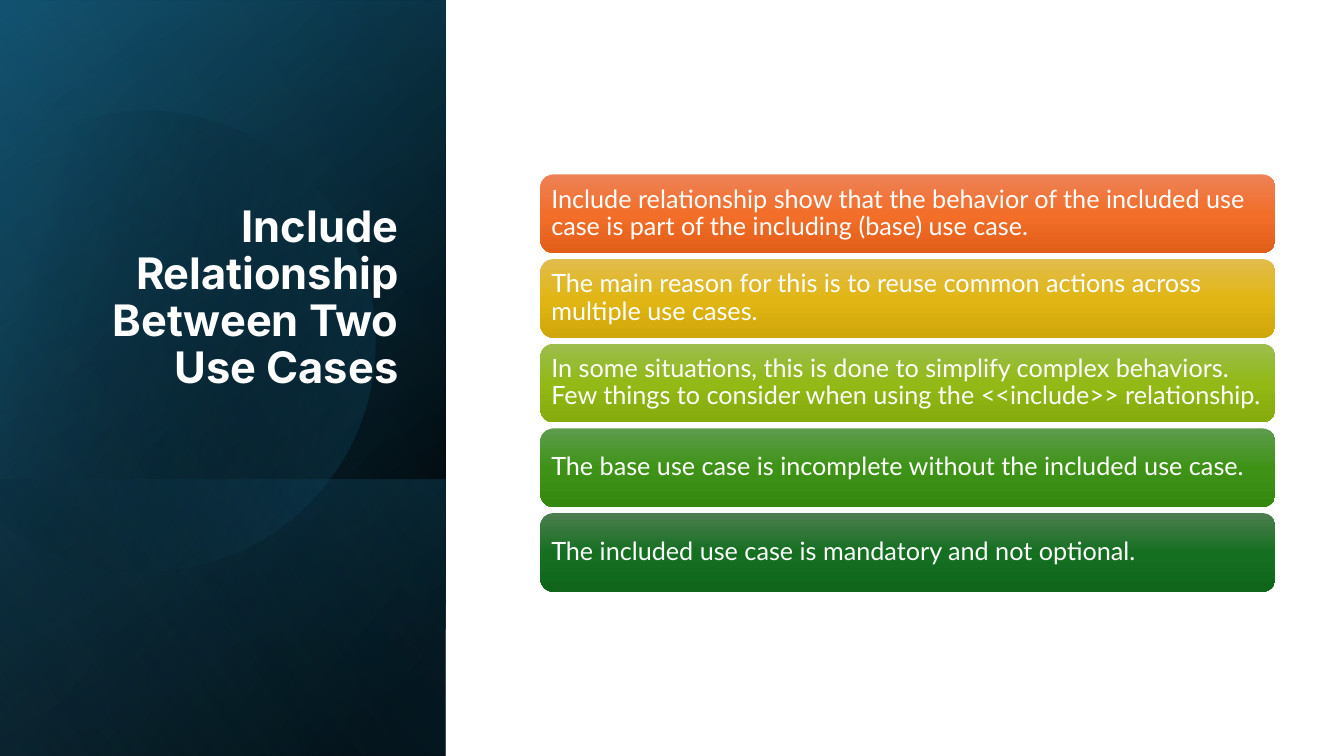
import math

from pptx import Presentation
from pptx.dml.color import RGBColor
from pptx.enum.shapes import MSO_SHAPE
from pptx.enum.text import MSO_ANCHOR, MSO_AUTO_SIZE, PP_ALIGN
from pptx.oxml import parse_xml
from pptx.oxml.ns import nsdecls
from pptx.util import Inches, Pt

RECT, ROUND_RECT = MSO_SHAPE.RECTANGLE, MSO_SHAPE.ROUNDED_RECTANGLE
MIDDLE, BOTTOM = MSO_ANCHOR.MIDDLE, MSO_ANCHOR.BOTTOM
LEFT, RIGHT = PP_ALIGN.LEFT, PP_ALIGN.RIGHT
NO_AUTOFIT = MSO_AUTO_SIZE.NONE

COLORS = {"white": "FFFFFF", "black": "000000", "navy": "104862",
          "teal": "156082", "sky": "46B1E1"}

CARDS = [
    ("Include relationship show that the behavior of the included use case is part of the including (base) use case.",
     ("ED8257", "F26E29", "E25F1A")),
    ("The main reason for this is to reuse common actions across multiple use cases.",
     ("E1BC4E", "E1B614", "D0A70A")),
    ("In some situations, this is done to simplify complex behaviors. "
     "Few things to consider when using the <<include>> relationship.",
     ("9CBD4E", "92B916", "85AB0D")),
    ("The base use case is incomplete without the included use case.",
     ("5E9C4E", "3E9317", "35880F")),
    ("The included use case is mandatory and not optional.",
     ("4D7E50", "156F21", "0F661B")),
]

DISC_OUTLINE = [
    ("moveTo", [(1.49, 1.1)]),
    ("cubicBezTo", [(2.46, 1.12), (3.35, 1.77), (3.63, 2.75)]),
    ("cubicBezTo", [(3.98, 3.97), (3.28, 5.23), (2.07, 5.58)]),
    ("cubicBezTo", [(1.31, 5.8), (0.53, 5.61), (-0.03, 5.14)]),
    ("lnTo", [(-0.15, 5.03)]),
    ("lnTo", [(-0.15, 1.75)]),
    ("lnTo", [(0, 1.61)]),
    ("cubicBezTo", [(0.23, 1.42), (0.5, 1.28), (0.8, 1.19)]),
    ("cubicBezTo", [(1.03, 1.13), (1.26, 1.1), (1.49, 1.1)]),
]


def paint_gradient(sp, stops, angle):
    sp.shadow.inherit = False
    sp.line.fill.background()
    gs = "".join(
        f'<a:gs pos="{pos * 1000}"><a:srgbClr val="{color}">'
        f'<a:alpha val="{alpha * 1000}"/></a:srgbClr></a:gs>'
        for pos, color, alpha in stops)
    sp._element.spPr.insert(2, parse_xml(
        f'<a:gradFill {nsdecls("a")}><a:gsLst>{gs}</a:gsLst>'
        f'<a:lin ang="{angle * 60000}" scaled="0"/></a:gradFill>'))


def format_text(tf, size, align, bold=False):
    for p in tf.paragraphs:
        p.alignment = align
        p.line_spacing = 0.9
        for r in p.runs:
            r.font.size = Pt(size)
            r.font.bold = bold
            r.font.name = "Inter" if bold else "Lato"
            r.font.color.rgb = RGBColor.from_string(COLORS["white"])


def add_turned_rect(slide, x, y, w, h, stops, angle):
    sp = slide.shapes.add_shape(RECT, Inches(x + (w - h) / 2), Inches(y + (h - w) / 2),
                                Inches(h), Inches(w))
    sp.rotation = 90
    sp._element.spPr.xfrm.set("flipH", "1")
    paint_gradient(sp, stops, angle)


def add_disc(slide, x, y):
    left, top, w, h = -0.55, 1.06, 4.27, 4.57
    tilt = 16.1
    cos, sin = math.cos(math.radians(tilt)), math.sin(math.radians(tilt))
    builder = slide.shapes.build_freeform(Inches(x + left), Inches(y + top))
    builder.add_line_segments([(Inches(x + left + dx), Inches(y + top + dy))
                               for dx, dy in ((w, 0), (w, h), (0, h))])
    sp = builder.convert_to_shape()
    outline = sp._element.xpath(".//a:path")[0]
    for step in list(outline):
        outline.remove(step)
    for tag, points in DISC_OUTLINE:
        pts = ""
        for px, py in points:
            dx, dy = px - left - w / 2, py - top - h / 2
            pts += (f'<a:pt x="{Inches(w / 2 + dx * cos - dy * sin)}" '
                    f'y="{Inches(h / 2 + dx * sin + dy * cos)}"/>')
        outline.append(parse_xml(f'<a:{tag} {nsdecls("a")}>{pts}</a:{tag}>'))
    outline.append(parse_xml(f'<a:close {nsdecls("a")}/>'))
    sp.rotation = 360 - tilt
    paint_gradient(sp, [(29, COLORS["black"], 0), (100, COLORS["teal"], 43)], 30)


def add_panel(slide, x, y, w, h):
    black, teal = COLORS["black"], COLORS["teal"]
    band_h = 2.74
    add_turned_rect(slide, x, y, w, h, [(8, black, 100), (100, COLORS["navy"], 100)], 50)
    add_turned_rect(slide, x, y + 0.01, w, h, [(0, black, 0), (99, teal, 46)], 30)
    add_turned_rect(slide, x, y + h - band_h, w, band_h,
                    [(2, teal, 29), (100, black, 30)], 130)
    add_disc(slide, x, y)
    add_turned_rect(slide, x, y, w, h, [(0, black, 0), (99, COLORS["sky"], 11)], 120)


def add_title(slide, x, y, w, h):
    title = slide.shapes.title
    title.left, title.top, title.width, title.height = map(Inches, (x, y, w, h))
    tf = title.text_frame
    tf.text = "Include Relationship Between Two Use Cases"
    tf.word_wrap = True
    tf.auto_size = NO_AUTOFIT
    tf.vertical_anchor = BOTTOM
    tf.margin_bottom = Inches(0.56)
    format_text(tf, 31, RIGHT, bold=True)
    slide.shapes._spTree.append(title._element)


def add_cards(slide, x, y, w, h):
    gap = 0.06
    card_h = (h - gap * (len(CARDS) - 1)) / len(CARDS)
    for i, (text, shades) in enumerate(CARDS):
        sp = slide.shapes.add_shape(ROUND_RECT, Inches(x), Inches(y + i * (card_h + gap)),
                                    Inches(w), Inches(card_h))
        paint_gradient(sp, [(pos, c, 100) for pos, c in zip((0, 50, 100), shades)], 90)
        tf = sp.text_frame
        tf.text = text
        tf.word_wrap = True
        tf.vertical_anchor = MIDDLE
        tf.margin_left = tf.margin_right = Inches(0.07)
        tf.margin_top = tf.margin_bottom = Inches(0.07)
        format_text(tf, 18, LEFT)


def main():
    prs = Presentation()
    prs.slide_width, prs.slide_height = Inches(13.33), Inches(7.5)
    slide = prs.slides.add_slide(prs.slide_layouts[5])
    add_panel(slide, 0, 0, 4.42, 7.5)
    add_title(slide, 0.64, 1.84, 3.41, 2.62)
    add_cards(slide, 5.36, 1.73, 7.29, 4.14)
    prs.save("out.pptx")


if __name__ == "__main__":
    main()
